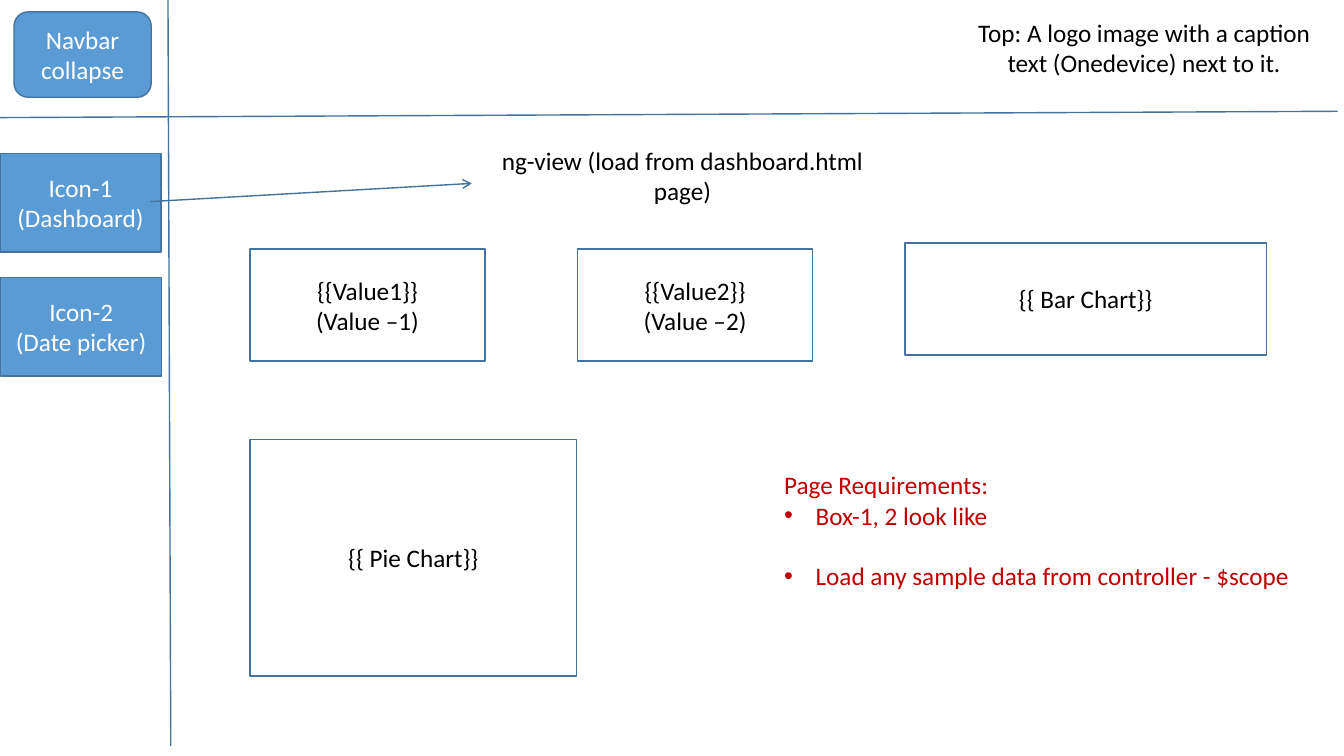
from dataclasses import dataclass

from lxml import etree
from pptx import Presentation
from pptx import util as u
from pptx.dml.color import RGBColor
from pptx.enum import shapes, text
from pptx.oxml.ns import qn

COLORS = {"line": "43739E", "button": "5B9BD5", "light": "FFFFFF",
          "dark": "000000", "alert": "C00000"}
FONT_SIZE = 18
BULLET_INDENT = 22.5
COLUMN_LEFT, COLUMN_STEP = 178.5, 234


@dataclass(frozen=True)
class Panel:
    lines: tuple[str, ...]
    left: float
    top: float
    width: float
    height: float
    fill: str | None = None
    color: str = "dark"
    preset: shapes.MSO_SHAPE = shapes.MSO_SHAPE.RECTANGLE


@dataclass(frozen=True)
class Caption:
    lines: tuple[str, ...]
    left: float
    top: float
    width: float
    height: float


@dataclass(frozen=True)
class Rule:
    start: tuple[float, float]
    end: tuple[float, float]
    arrow: bool = False


@dataclass(frozen=True)
class Requirement:
    wording: str
    bullet: bool = True
    space_before: float = 0


VALUE_PANELS = [
    Panel((f"{{{{Value{number}}}}}", f"(Value –{number})"),
          COLUMN_LEFT + (number - 1) * COLUMN_STEP, 178, 168, 80)
    for number in (1, 2)
]
CHART_PANELS = [
    Panel(("{{ Bar Chart}}",), COLUMN_LEFT + 2 * COLUMN_STEP, 173.5, 258, 80),
    Panel(("{{ Pie Chart}}",), COLUMN_LEFT, 314, 233.5, 169),
]
NAVBAR_PANELS = [
    Panel(("Navbar collapse",), 10, 8.5, 98, 61, "button", "light",
          shapes.MSO_SHAPE.ROUNDED_RECTANGLE),
    Panel(("Icon-1", "(Dashboard)"), 0, 109.5, 115, 70.5, "button", "light"),
    Panel(("Icon-2", "(Date picker)"), 0.5, 198, 115, 70.5, "button", "light"),
]
CAPTIONS = [
    Caption(("ng-view (load from dashboard.html page)",), 340, 100, 295, 51),
    Caption(("Top: A logo image with a caption text (Onedevice) next to it.",),
            680.5, 8.5, 273.5, 51),
]
RULES = [
    Rule((120, 0), (122, 533)),
    Rule((955.5, 79.5), (0, 84)),
    Rule((107.5, 144), (337, 131), arrow=True),
]
REQUIREMENTS = [
    Requirement("Page Requirements:", bullet=False),
    Requirement("Box-1, 2 look like"),
    Requirement("Load any sample data from controller - $scope", space_before=21.6),
]


def rgb(name: str) -> RGBColor:
    return RGBColor.from_string(COLORS[name])


def style_paragraph(para, color: str, align=text.PP_ALIGN.CENTER) -> None:
    para.alignment = align
    para.font.name = "Calibri"
    para.font.size = u.Pt(FONT_SIZE)
    para.font.color.rgb = rgb(color)


def write_lines(frame, lines: tuple[str, ...], color: str) -> None:
    frame.word_wrap = True
    frame.text = "\n".join(lines)
    for para in frame.paragraphs:
        style_paragraph(para, color)


def draw_panel(page, panel: Panel) -> None:
    box = page.shapes.add_shape(panel.preset, u.Pt(panel.left), u.Pt(panel.top),
                                u.Pt(panel.width), u.Pt(panel.height))
    box.shadow.inherit = False
    box.line.color.rgb = rgb("line")
    box.line.width = u.Pt(1)
    if panel.fill:
        box.fill.solid()
        box.fill.fore_color.rgb = rgb(panel.fill)
    else:
        box.fill.background()
    box.text_frame.vertical_anchor = text.MSO_ANCHOR.MIDDLE
    write_lines(box.text_frame, panel.lines, panel.color)


def draw_caption(page, caption: Caption) -> None:
    box = page.shapes.add_textbox(u.Pt(caption.left), u.Pt(caption.top),
                                  u.Pt(caption.width), u.Pt(caption.height))
    write_lines(box.text_frame, caption.lines, "dark")


def draw_rule(page, rule: Rule) -> None:
    connector = page.shapes.add_connector(
        shapes.MSO_CONNECTOR.STRAIGHT,
        *(u.Pt(value) for value in (*rule.start, *rule.end)))
    connector.line.color.rgb = rgb("line")
    connector.line.width = u.Pt(1)
    properties = connector._element.spPr
    if rule.arrow:
        etree.SubElement(properties.find(qn("a:ln")), qn("a:tailEnd"), type="arrow")
    etree.SubElement(properties, qn("a:effectLst"))


def draw_requirements(page, items: list[Requirement]) -> None:
    box = page.shapes.add_textbox(u.Pt(553), u.Pt(332), u.Pt(387.5), u.Pt(94.5))
    frame = box.text_frame
    frame.word_wrap = True
    frame.text = "\n".join(item.wording for item in items)
    for para, item in zip(frame.paragraphs, items):
        if item.bullet:
            properties = para._p.get_or_add_pPr()
            properties.set("marL", str(u.Pt(BULLET_INDENT)))
            properties.set("indent", str(-u.Pt(BULLET_INDENT)))
            etree.SubElement(properties, qn("a:buFont"), typeface="Arial")
            etree.SubElement(properties, qn("a:buChar"), char="•")
        if item.space_before:
            para.space_before = u.Pt(item.space_before)
        style_paragraph(para, "alert", text.PP_ALIGN.LEFT)


def main() -> None:
    deck = Presentation()
    deck.slide_width, deck.slide_height = u.Pt(960), u.Pt(540)
    page = deck.slides.add_slide(deck.slide_layouts[6])
    for panel in VALUE_PANELS + CHART_PANELS + NAVBAR_PANELS:
        draw_panel(page, panel)
    for caption in CAPTIONS:
        draw_caption(page, caption)
    for rule in RULES:
        draw_rule(page, rule)
    draw_requirements(page, REQUIREMENTS)
    deck.save("out.pptx")


if __name__ == "__main__":
    main()
